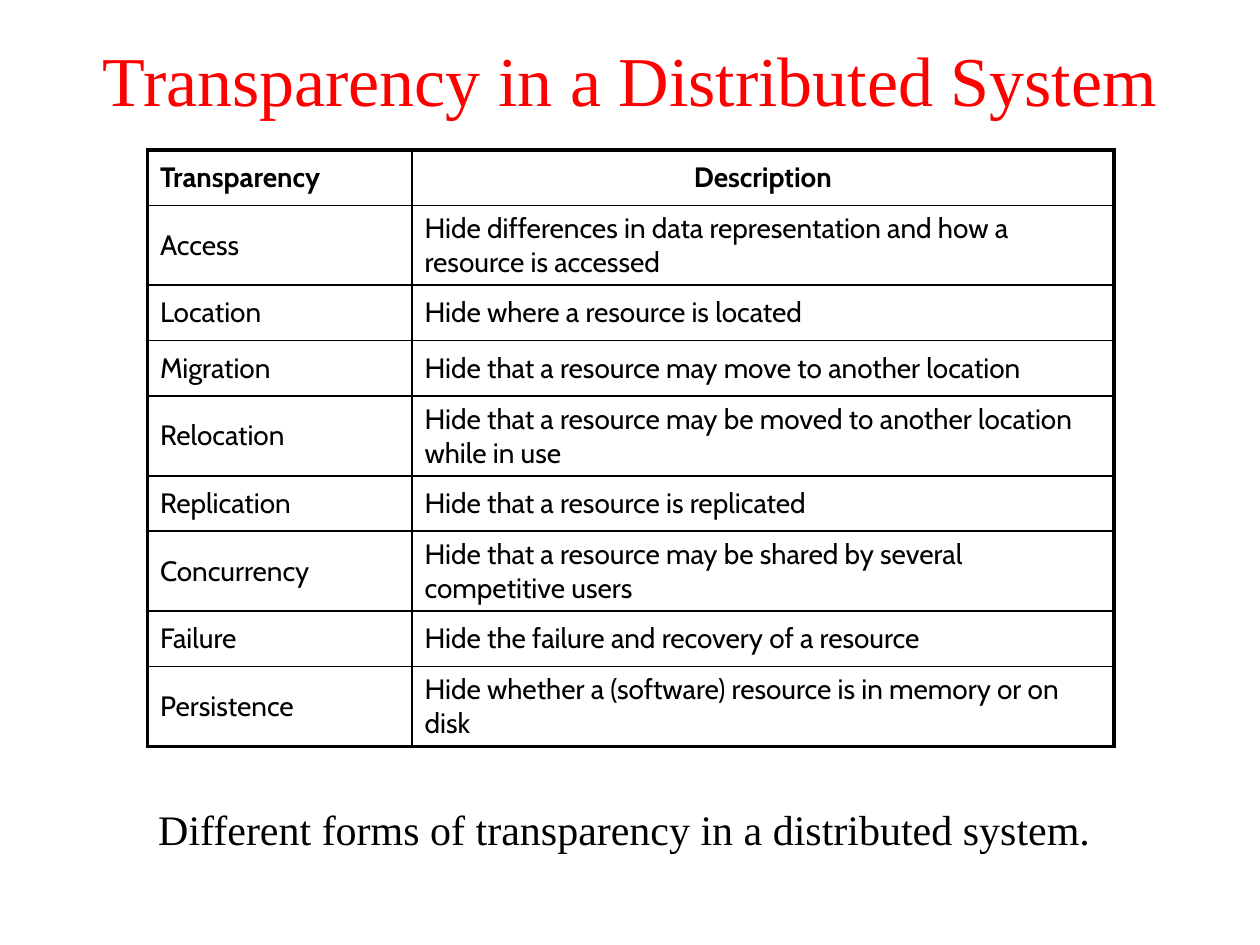
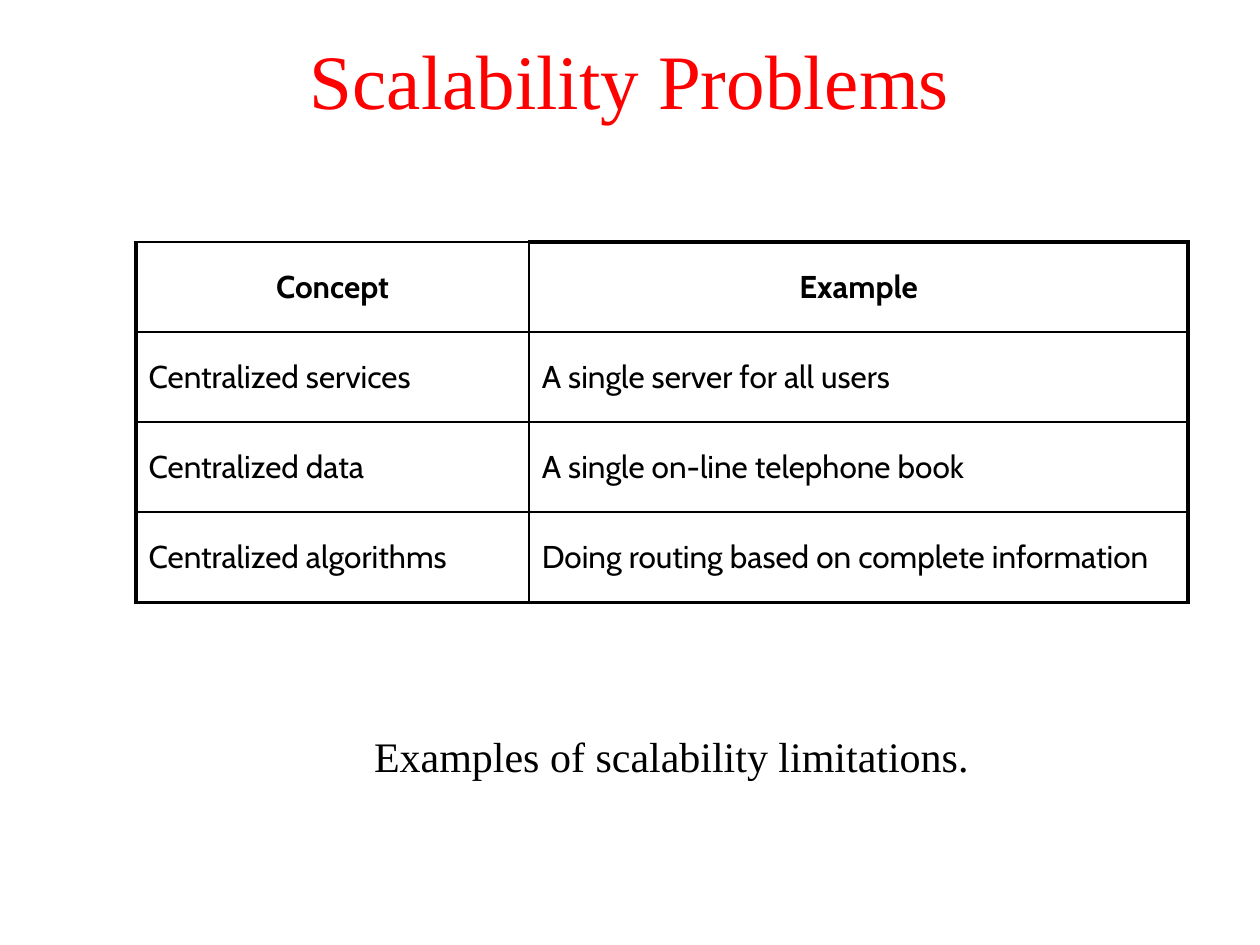
from lxml.etree import SubElement
from pptx import Presentation
from pptx.dml.color import RGBColor
from pptx.enum.text import MSO_ANCHOR, MSO_AUTO_SIZE, PP_ALIGN
from pptx.oxml.ns import qn
from pptx.util import Inches, Pt

RED, BLACK = "FF0000", "000000"
SERIF, SANS = "Times New Roman", "Cabin"
THICK, THIN = 2.25, 1
LEFT, CENTER = PP_ALIGN.LEFT, PP_ALIGN.CENTER
SHORT_ROW, TALL_ROW = 0.44, 0.63

SLIDES = [
    {
        "title": "Transparency in a Distributed System",
        "title_size": 40,
        "caption": "Different forms of transparency in a distributed system.",
        "caption_box": (0.33, 6.33, 9.25, 0.5),
        "table_corner": (1.17, 1.19),
        "columns": (2.1, 5.57),
        "row_heights": [SHORT_ROW, TALL_ROW, SHORT_ROW, SHORT_ROW, TALL_ROW,
                        SHORT_ROW, TALL_ROW, SHORT_ROW, TALL_ROW],
        "table_size": 16,
        "header_aligns": (LEFT, CENTER),
        "thin_tops": (),
        "rows": [
            ("Transparency", "Description"),
            ("Access", "Hide differences in data representation and how a resource is accessed"),
            ("Location", "Hide where a resource is located"),
            ("Migration", "Hide that a resource may move to another location"),
            ("Relocation", "Hide that a resource may be moved to another location while in use"),
            ("Replication", "Hide that a resource is replicated"),
            ("Concurrency", "Hide that a resource may be shared by several competitive users"),
            ("Failure", "Hide the failure and recovery of a resource"),
            ("Persistence", "Hide whether a (software) resource is in memory or on disk"),
        ],
    },
    {
        "title": "Scalability Problems",
        "title_size": 44,
        "caption": "Examples of scalability limitations.",
        "caption_box": (1.33, 5.75, 8, 0.5),
        "table_corner": (1.08, 1.92),
        "columns": (3.12, 5.23),
        "row_heights": [2.86 / 4] * 4,
        "table_size": 18,
        "header_aligns": (CENTER, CENTER),
        "thin_tops": (0,),
        "rows": [
            ("Concept", "Example"),
            ("Centralized services", "A single server for all users"),
            ("Centralized data", "A single on-line telephone book"),
            ("Centralized algorithms", "Doing routing based on complete information"),
        ],
    },
]


def color(value):
    """Turn a hex string into a colour."""
    return RGBColor.from_string(value)


def write(frame, text, size, font, ink, align=CENTER, bold=False, before=0):
    """Fill a text frame with one formatted paragraph."""
    frame.text = text
    paragraph = frame.paragraphs[0]
    paragraph.alignment = align
    paragraph.space_before = Pt(size * before)
    style = paragraph.runs[0].font
    style.size, style.name, style.bold = Pt(size), font, bold
    style.color.rgb = color(ink)


def draw_borders(cell, left, right, top, bottom):
    """Give the four sides of a cell black lines of the given widths."""
    properties = cell._tc.get_or_add_tcPr()
    for side, width in zip("LRTB", (left, right, top, bottom)):
        line = SubElement(properties, qn(f"a:ln{side}"), w=str(Pt(width)))
        fill = SubElement(line, qn("a:solidFill"))
        SubElement(fill, qn("a:srgbClr"), val=BLACK)


def add_grid(slide, content):
    """Add the ruled table with a thick outline and thin inner lines."""
    rows, columns, heights = content["rows"], content["columns"], content["row_heights"]
    frame = slide.shapes.add_table(
        len(rows), len(columns), *map(Inches, content["table_corner"]),
        Inches(sum(columns)), Inches(sum(heights)))
    grid = frame.table
    grid.first_row = grid.horz_banding = False
    for column, width in zip(grid.columns, columns):
        column.width = Inches(width)
    for row, height in zip(grid.rows, heights):
        row.height = Inches(height)
    last_row, last_column = len(rows) - 1, len(columns) - 1
    for r, texts in enumerate(rows):
        for c, text in enumerate(texts):
            cell = grid.cell(r, c)
            header = r == 0
            align = content["header_aligns"][c] if header else LEFT
            write(cell.text_frame, text, content["table_size"], SANS, BLACK,
                  align, header, before=0.2)
            cell.vertical_anchor = MSO_ANCHOR.MIDDLE
            draw_borders(
                cell,
                left=THICK if c == 0 else THIN,
                right=THICK if c == last_column else THIN,
                top=THICK if header and c not in content["thin_tops"] else THIN,
                bottom=THICK if r == last_row else THIN)
            cell.fill.background()


def add_content_slide(deck, content):
    """Add a slide with its title, table and caption."""
    slide = deck.slides.add_slide(deck.slide_layouts[5])
    title = slide.shapes.title
    title.left, title.top, title.width, title.height = map(Inches, (0, 0, 10, 1.25))
    title.text_frame.vertical_anchor = MSO_ANCHOR.MIDDLE
    write(title.text_frame, content["title"], content["title_size"], SERIF, RED)
    caption = slide.shapes.add_textbox(*map(Inches, content["caption_box"])).text_frame
    caption.word_wrap = True
    caption.auto_size = MSO_AUTO_SIZE.SHAPE_TO_FIT_TEXT
    write(caption, content["caption"], 24, SERIF, BLACK, before=0.5)
    add_grid(slide, content)


def main():
    """Build and save the deck."""
    deck = Presentation()
    deck.slide_width, deck.slide_height = Inches(10), Inches(7.5)
    for content in SLIDES:
        add_content_slide(deck, content)
    deck.save("out.pptx")


if __name__ == "__main__":
    main()
